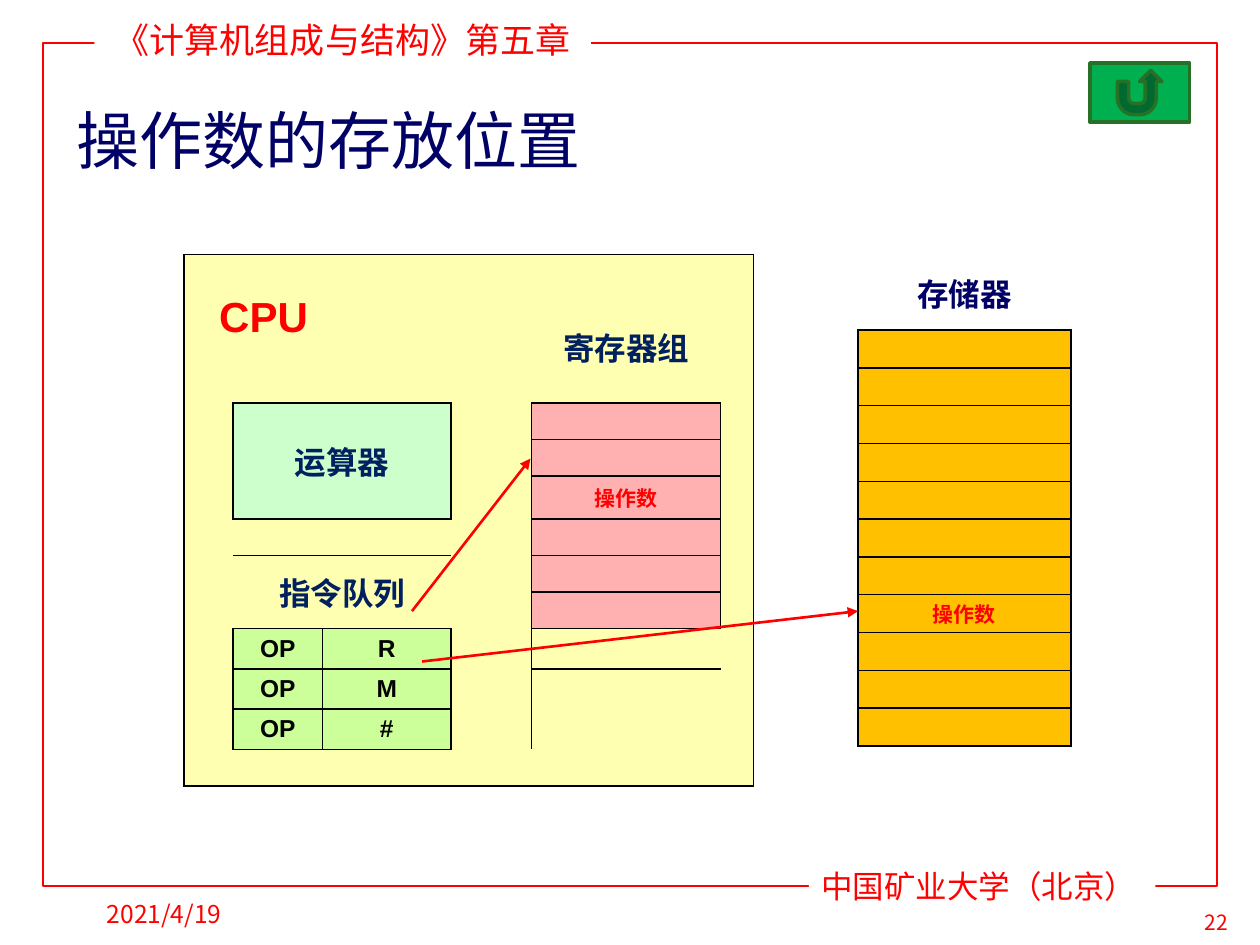
from lxml.etree import SubElement
from pptx import Presentation
from pptx.dml.color import RGBColor
from pptx.enum.shapes import MSO_CONNECTOR, MSO_SHAPE
from pptx.enum.text import MSO_ANCHOR, PP_ALIGN
from pptx.oxml.ns import qn
from pptx.util import Inches, Pt

RED = RGBColor(0xFF, 0x00, 0x00)
NAVY = RGBColor(0x00, 0x00, 0x66)
DARK_BLUE = RGBColor(0x00, 0x20, 0x60)
BLACK = RGBColor(0x00, 0x00, 0x00)
WHITE = RGBColor(0xFF, 0xFF, 0xFF)
YELLOW = RGBColor(0xFF, 0xFF, 0xB2)
MINT = RGBColor(0xCC, 0xFF, 0xCC)
PINK = RGBColor(0xFF, 0xB0, 0xB0)
LIME = RGBColor(0xCC, 0xFF, 0x99)
ORANGE = RGBColor(0xFF, 0xC0, 0x00)
BUTTON_GREEN = RGBColor(0x00, 0xB0, 0x50)
BUTTON_EDGE = RGBColor(0x26, 0x71, 0x26)

CJK, SERIF, SANS = "Noto Sans CJK SC", "Times New Roman", "Arial"
NO_GRID_STYLE = "{2D5ABB26-0587-4C30-8999-92F81FD0307C}"

# Text formats
HEADING = dict(size=18, font=SERIF, color=DARK_BLUE, bold=True, align=PP_ALIGN.CENTER)
OPERAND = dict(HEADING, size=12, color=RED)
CODE = dict(HEADING, size=14, font=SANS, color=BLACK)
CPU_TITLE = dict(size=24, font=SANS, color=RED, bold=True)

# Labels: text, (left, top, width, height), background, wrap, anchor, format
LABELS = [
    ("22", (9.33, 7.17, 0.65, 0.3), None, True, MSO_ANCHOR.TOP,
     dict(size=12, color=RED, align=PP_ALIGN.CENTER)),
    ("《计算机组成与结构》第五章", (0.75, 0.1, 3.94, 0.44), WHITE, True, MSO_ANCHOR.TOP,
     dict(size=20, color=RED, align=PP_ALIGN.CENTER)),
    ("中国矿业大学（北京）", (6.42, 6.83, 2.75, 0.4), WHITE, True, MSO_ANCHOR.TOP,
     dict(size=18, font=SERIF, color=RED)),
    ("2021/4/19", (0.75, 7, 2.08, 0.5), None, False, MSO_ANCHOR.MIDDLE,
     dict(size=14, color=RED)),
    ("操作数的存放位置", (0.51, 0.75, 9.06, 0.71), None, True, MSO_ANCHOR.MIDDLE,
     dict(size=36, color=NAVY)),
]

# Table blocks: row, column, row span, column span, text, fill, boxed, format
INSTRUCTIONS = [("OP", "R"), ("OP", "M"), ("OP", "#")]
REGISTERS = ["", "", "操作数", "", "", ""]
MEMORY = [""] * 7 + ["操作数"] + [""] * 3

CPU_COLUMNS = [0.39, 0.71, 1.02, 0.64, 1.5, 0.26]
CPU_ROWS = [0.29, 0.58, 0.28, 0.29, 0.29, 0.34] + [0.29] * 3 + [0.32] * 3 + [0.29]
CPU_BLOCKS = [
    (0, 0, 2, 3, "CPU", YELLOW, False, CPU_TITLE),
    (1, 4, 2, 1, "寄存器组", YELLOW, False, HEADING),
    (3, 1, 3, 2, "运算器", MINT, True, HEADING),
    (7, 1, 2, 2, "指令队列", YELLOW, False, HEADING),
]
CPU_BLOCKS += [(3 + i, 4, 1, 1, text, PINK, True, OPERAND)
               for i, text in enumerate(REGISTERS)]
CPU_BLOCKS += [(9 + i, 1 + j, 1, 1, text, LIME, True, CODE)
               for i, pair in enumerate(INSTRUCTIONS) for j, text in enumerate(pair)]

MEMORY_ROWS = [0.6] + [0.3] * len(MEMORY)
MEMORY_BLOCKS = [(0, 0, 1, 1, "存储器", None, False, dict(HEADING, color=NAVY))]
MEMORY_BLOCKS += [(1 + i, 0, 1, 1, text, ORANGE, True, OPERAND)
                  for i, text in enumerate(MEMORY)]

ARROWS = [((3.35, 5.25), (6.81, 4.85)), ((3.27, 4.85), (4.21, 3.64))]


def write(frame, text, size=18, font=CJK, color=BLACK, bold=False, align=PP_ALIGN.LEFT):
    paragraph = frame.paragraphs[0]
    paragraph.alignment = align
    run = paragraph.add_run()
    run.text = text
    run.font.size, run.font.bold, run.font.name = Pt(size), bold, font
    run.font.color.rgb = color
    SubElement(run.font._element, qn("a:ea"), typeface=CJK)


def add_border(cell, side):
    line = SubElement(cell._tc.get_or_add_tcPr(), qn("a:ln" + side), w=str(Pt(1)))
    fill = SubElement(line, qn("a:solidFill"))
    SubElement(fill, qn("a:srgbClr"), val=str(BLACK))


def add_grid(slide, left, top, columns, rows, blocks, background=None):
    frame = slide.shapes.add_table(len(rows), len(columns), Inches(left), Inches(top),
                                   Inches(sum(columns)), Inches(sum(rows)))
    table = frame.table
    table.first_row = table.horz_banding = False
    frame._element.find(".//" + qn("a:tableStyleId")).text = NO_GRID_STYLE
    for column, width in zip(table.columns, columns):
        column.width = Inches(width)
    for row, height in zip(table.rows, rows):
        row.height = Inches(height)

    owner = {(r + i, c + j): block for block in blocks
             for r, c, height, width in [block[:4]]
             for i in range(height) for j in range(width)}
    sides = {"L": (0, -1), "R": (0, 1), "T": (-1, 0), "B": (1, 0)}
    for r in range(len(rows)):
        for c in range(len(columns)):
            cell, block = table.cell(r, c), owner.get((r, c))
            # Lines go round boxed blocks and, with a background, the whole table
            for side, (down, right) in sides.items():
                place = (r + down, c + right)
                neighbour = owner.get(place)
                inside = 0 <= place[0] < len(rows) and 0 <= place[1] < len(columns)
                boxed = any(b and b[6] for b in (block, neighbour))
                merged = block and block[2] * block[3] > 1 and block[6]
                at_start = merged and block[:2] == (r, c)
                if at_start or (boxed and block is not neighbour) or (background and not inside):
                    add_border(cell, side)
            fill = block[5] if block else background
            if fill:
                cell.fill.solid()
                cell.fill.fore_color.rgb = fill
            else:
                cell.fill.background()
            cell.margin_top = cell.margin_bottom = 0
            cell.vertical_anchor = MSO_ANCHOR.MIDDLE
            if block and block[4] and block[:2] == (r, c):
                write(cell.text_frame, block[4], **block[7])
            else:
                SubElement(cell.text_frame.paragraphs[0]._p, qn("a:endParaRPr"), sz="800")
    for r, c, height, width, *_ in blocks:
        if height * width > 1:
            table.cell(r, c).merge(table.cell(r + height - 1, c + width - 1))
    return table


def add_box(slide, kind, box, fill=None, line=None, width=1):
    shape = slide.shapes.add_shape(kind, *map(Inches, box))
    shape.shadow.inherit = False
    for part, color in ((shape.fill, fill), (shape.line.fill, line)):
        if color is None:
            part.background()
        else:
            part.solid()
            part.fore_color.rgb = color
    if line is not None:
        shape.line.width = Pt(width)
    return shape


def main():
    presentation = Presentation()
    presentation.slide_width, presentation.slide_height = Inches(10), Inches(7.5)
    slide = presentation.slides.add_slide(presentation.slide_layouts[6])

    # Page frame and labels
    add_box(slide, MSO_SHAPE.RECTANGLE, (0.34, 0.34, 9.32, 6.69), line=RED)
    for text, box, fill, wrap, anchor, style in LABELS:
        label = slide.shapes.add_textbox(*map(Inches, box))
        if fill is not None:
            label.fill.solid()
            label.fill.fore_color.rgb = fill
        label.text_frame.word_wrap = wrap
        label.text_frame.vertical_anchor = anchor
        write(label.text_frame, text, **style)

    # Return button
    add_box(slide, MSO_SHAPE.ACTION_BUTTON_RETURN, (8.65, 0.5, 0.79, 0.47),
            BUTTON_GREEN, BUTTON_EDGE, 2)

    # Processor and memory
    cpu = add_grid(slide, 1.46, 2.02, CPU_COLUMNS, CPU_ROWS, CPU_BLOCKS, YELLOW)
    title_cell = cpu.cell(0, 0)
    title_cell.margin_left, title_cell.margin_top = Inches(0.28), Inches(0.16)
    title_cell.margin_bottom = Inches(0.05)
    add_grid(slide, 6.81, 2.02, [1.69], MEMORY_ROWS, MEMORY_BLOCKS)

    # Arrows from instructions to operands
    for start, end in ARROWS:
        arrow = slide.shapes.add_connector(MSO_CONNECTOR.STRAIGHT, *map(Inches, start + end))
        arrow.line.color.rgb = RED
        arrow.line.width = Pt(1.5)
        SubElement(arrow.line._get_or_add_ln(), qn("a:tailEnd"), type="triangle")
        SubElement(arrow._element.spPr, qn("a:effectLst"))

    presentation.save("out.pptx")


if __name__ == "__main__":
    main()
